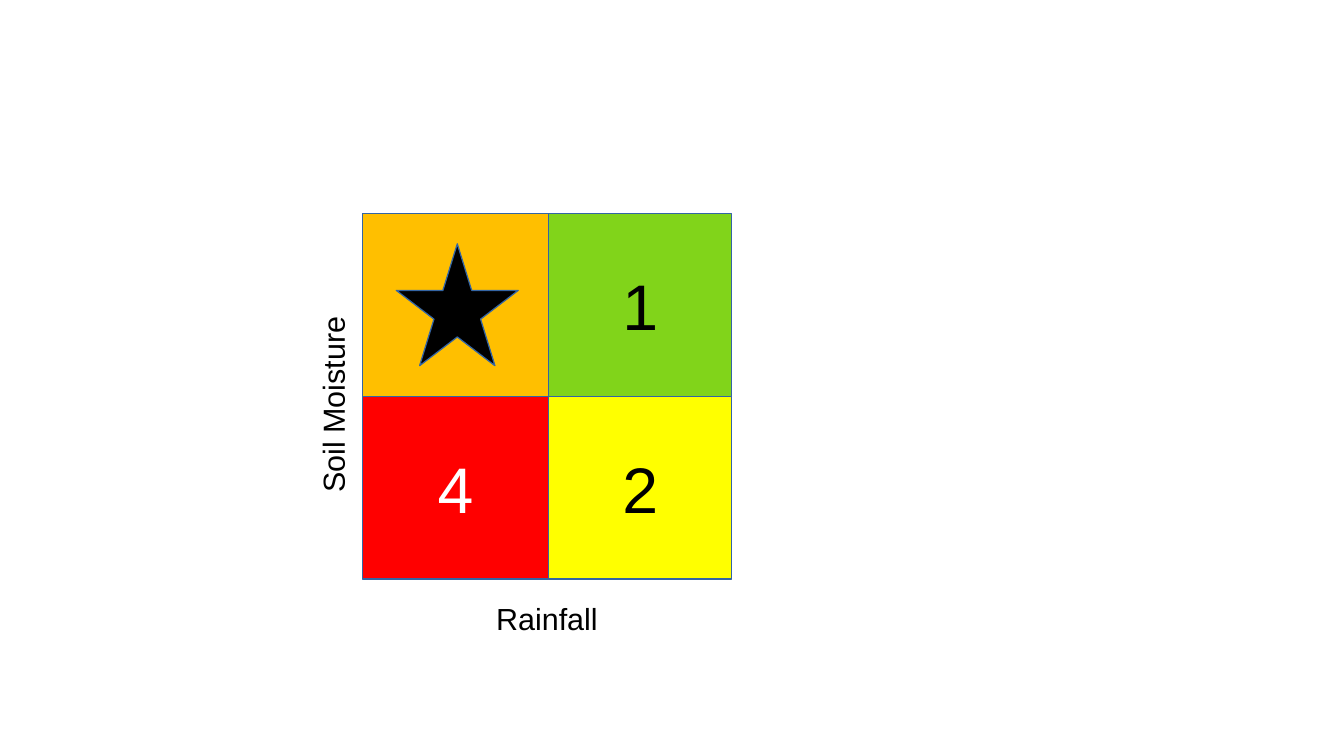
import pptx
import pptx.util
import pptx.dml.color
import pptx.enum.shapes
import pptx.enum.text

Inches = pptx.util.Inches
SHAPES = pptx.enum.shapes.MSO_SHAPE


def paint(shape, fill):
    shape.shadow.inherit = False
    shape.fill.solid()
    shape.fill.fore_color.rgb = pptx.dml.color.RGBColor.from_string(fill)
    shape.line.color.rgb = pptx.dml.color.RGBColor.from_string("3465A4")
    shape.line.width = pptx.util.Pt(0)


def write(shape, text, size=18, color="000000", anchor="TOP", inset=0.1):
    frame = shape.text_frame
    frame.word_wrap = True
    frame.margin_left = frame.margin_right = Inches(inset)
    frame.vertical_anchor = pptx.enum.text.MSO_ANCHOR[anchor]
    para = frame.paragraphs[0]
    para.alignment = pptx.enum.text.PP_ALIGN.CENTER
    run = para.add_run()
    run.text = text
    run.font.name = "Arial"
    run.font.size = pptx.util.Pt(size)
    run.font.color.rgb = pptx.dml.color.RGBColor.from_string(color)


deck = pptx.Presentation()
deck.slide_width = Inches(11.02)
deck.slide_height = Inches(6.2)
slide = deck.slides.add_slide(deck.slide_layouts[6])

# Risk matrix: two columns by two rows, the first cell holds the star
cols = [(2.97, 1.53), (4.5, 1.5)]
top, side = 1.75, 1.5
grid = [
    [("", "FFBF00", "000000"), ("1", "81D41A", "000000")],
    [("4", "FF0000", "FFFFFF"), ("2", "FFFF00", "000000")],
]
for row, cells in enumerate(grid):
    for (left, width), (rank, fill, ink) in zip(cols, cells):
        cell = slide.shapes.add_shape(
            SHAPES.RECTANGLE, Inches(left), Inches(top + row * side),
            Inches(width), Inches(side))
        paint(cell, fill)
        if rank:
            write(cell, rank, size=38, color=ink, anchor="MIDDLE")

# Axis labels
labels = [
    ("Rainfall", 3.97, 4.87, 1.03, 0.38, 0),
    ("Soil Moisture", 1.93, 3.1, 1.64, 0.44, 270),
]
for text, left, top, width, height, turn in labels:
    label = slide.shapes.add_textbox(
        Inches(left), Inches(top), Inches(width), Inches(height))
    label.rotation = turn
    write(label, text, inset=0)

# Star in the first cell
star = slide.shapes.add_shape(
    SHAPES.STAR_5_POINT, Inches(3.25), Inches(2), Inches(1), Inches(1))
paint(star, "000000")

deck.save("out.pptx")
